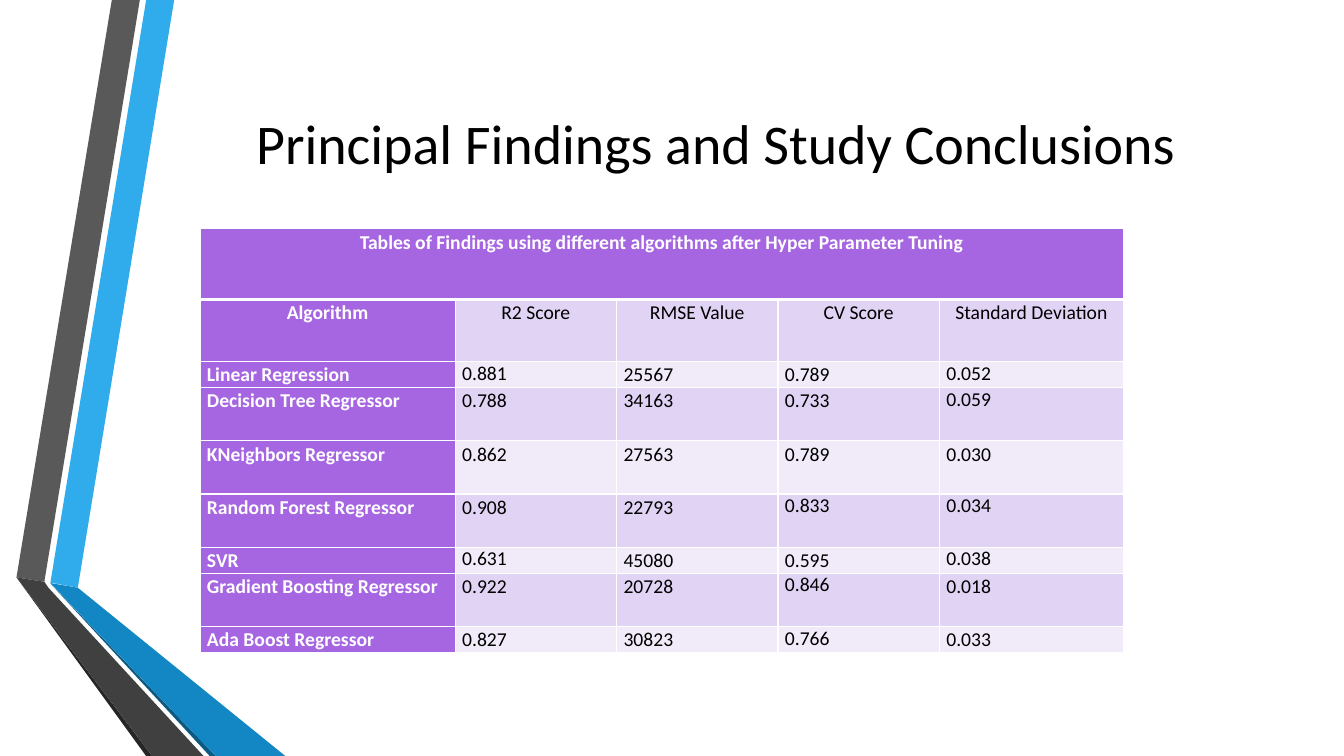
from dataclasses import dataclass

from lxml.etree import SubElement
from pptx import Presentation
from pptx.dml.color import RGBColor
from pptx.enum.text import MSO_ANCHOR, PP_ALIGN
from pptx.oxml.ns import qn
from pptx.util import Pt

FONT = "Calibri"
BLACK = RGBColor(0x00, 0x00, 0x00)
WHITE = RGBColor(0xFF, 0xFF, 0xFF)
PURPLE = RGBColor(0xA6, 0x66, 0xE1)
LILAC = RGBColor(0xE1, 0xD3, 0xF4)
PALE_LILAC = RGBColor(0xF1, 0xEA, 0xF9)
SKY = RGBColor(0x30, 0xAC, 0xEC)
BLUE = RGBColor(0x12, 0x87, 0xC3)
NAVY = RGBColor(0x0C, 0x5A, 0x82)
GREY = RGBColor(0x59, 0x59, 0x59)
CHARCOAL = RGBColor(0x40, 0x40, 0x40)
NEAR_BLACK = RGBColor(0x26, 0x26, 0x26)

TABLE_LEFT, TABLE_TOP = 142.8, 163.4
COLUMN_WIDTHS = (182.3, 115.3, 115.3, 115.3, 131.6)
CAPTION_HEIGHT, HEADER_HEIGHT, TALL, SHORT = 50.5, 44.3, 38, 18.7
CAPTION = "Tables of Findings using different algorithms after Hyper Parameter Tuning"
HEADERS = ("Algorithm", "R2 Score", "RMSE Value", "CV Score", "Standard Deviation")


@dataclass(frozen=True)
class Band:
    color: RGBColor
    points: tuple[tuple[float, float], ...]


@dataclass(frozen=True)
class Finding:
    values: tuple[str, ...]
    height: float
    single_spaced: tuple[int, ...] = ()


BANDS = (
    Band(SKY, ((36, 416.2), (55.6, 419.8), (124.4, 0), (104.4, 0))),
    Band(GREY, ((99.9, 0), (79.9, 0), (11.8, 412.4), (31.7, 415.6))),
    Band(NEAR_BLACK, ((11.8, 412.4), (104.4, 540), (108.7, 540))),
    Band(NAVY, ((36, 416.8), (149.8, 540), (154.1, 540))),
    Band(BLUE, ((36, 416.5), (154.1, 540), (203.8, 540), (55.6, 419.8))),
    Band(CHARCOAL, ((145.4, 540), (34.6, 419.8), (31.7, 415.6), (11.8, 412.4), (108.7, 540))),
)

FINDINGS = (
    Finding(("Linear Regression", "0.881", "25567", "0.789", "0.052"), SHORT, (1, 4)),
    Finding(("Decision Tree Regressor", "0.788", "34163", "0.733", "0.059"), TALL, (4,)),
    Finding(("KNeighbors Regressor", "0.862", "27563", "0.789", "0.030"), TALL),
    Finding(("Random Forest Regressor", "0.908", "22793", "0.833", "0.034"), TALL, (3, 4)),
    Finding(("SVR", "0.631", "45080", "0.595", "0.038"), SHORT, (1, 4)),
    Finding(("Gradient Boosting Regressor", "0.922", "20728", "0.846", "0.018"), TALL, (3,)),
    Finding(("Ada Boost Regressor", "0.827", "30823", "0.766", "0.033"), SHORT, (3,)),
)


def write_text(text_frame, text: str, *, size: float = 14, color: RGBColor = BLACK,
               bold: bool = False, align: PP_ALIGN = PP_ALIGN.LEFT,
               line_spacing: float = 1.07) -> None:
    paragraph = text_frame.paragraphs[0]
    paragraph.alignment = align
    paragraph.line_spacing = line_spacing
    run = paragraph.add_run()
    run.text = text
    run.font.name = FONT
    run.font.size = Pt(size)
    run.font.bold = bold
    run.font.color.rgb = color


def draw_band(slide, band: Band) -> None:
    corners = [(Pt(x), Pt(y)) for x, y in band.points]
    builder = slide.shapes.build_freeform(*corners[0])
    builder.add_line_segments(corners[1:], close=True)
    shape = builder.convert_to_shape()
    shape.shadow.inherit = False
    shape.fill.solid()
    shape.fill.fore_color.rgb = band.color
    shape.line.fill.background()


def add_borders(cell, bottom: float, top: float) -> None:
    properties = cell._tc.get_or_add_tcPr()
    widths = {"a:lnL": 1, "a:lnR": 1, "a:lnT": top, "a:lnB": bottom}
    for position, (tag, width) in enumerate(widths.items()):
        line = SubElement(properties, qn(tag), w=str(Pt(width)))
        fill = SubElement(line, qn("a:solidFill"))
        SubElement(fill, qn("a:srgbClr"), val=str(WHITE))
        properties.insert(position, line)


def format_cell(cell, fill: RGBColor, *, bottom: float = 1, top: float = 1) -> None:
    cell.margin_left = cell.margin_right = Pt(5)
    cell.margin_top = cell.margin_bottom = 0
    cell.vertical_anchor = MSO_ANCHOR.TOP
    cell.fill.solid()
    cell.fill.fore_color.rgb = fill
    add_borders(cell, bottom, top)


def draw_table(slide) -> None:
    heights = (CAPTION_HEIGHT, HEADER_HEIGHT, *(finding.height for finding in FINDINGS))
    table = slide.shapes.add_table(
        len(heights), len(COLUMN_WIDTHS), Pt(TABLE_LEFT), Pt(TABLE_TOP),
        Pt(sum(COLUMN_WIDTHS)), Pt(sum(heights))).table
    table.horz_banding = False
    table.first_row = False
    for column, width in zip(table.columns, COLUMN_WIDTHS):
        column.width = Pt(width)
    for row, height in zip(table.rows, heights):
        row.height = Pt(height)

    caption = table.cell(0, 0)
    caption.merge(table.cell(0, len(COLUMN_WIDTHS) - 1))
    for cell in table.rows[0].cells:
        format_cell(cell, PURPLE, bottom=3)
    write_text(caption.text_frame, CAPTION, color=WHITE, bold=True, align=PP_ALIGN.CENTER)

    body = (Finding(HEADERS, HEADER_HEIGHT), *FINDINGS)
    for row_index, finding in enumerate(body, start=1):
        is_header = row_index == 1
        stripe = LILAC if row_index % 2 else PALE_LILAC
        for column_index, text in enumerate(finding.values):
            is_name = column_index == 0
            cell = table.cell(row_index, column_index)
            format_cell(cell, PURPLE if is_name else stripe, top=3 if is_header else 1)
            write_text(
                cell.text_frame, text,
                color=WHITE if is_name else BLACK, bold=is_name,
                align=PP_ALIGN.CENTER if is_header else PP_ALIGN.LEFT,
                line_spacing=1.0 if column_index in finding.single_spaced else 1.07)


def draw_title(slide) -> None:
    title = slide.shapes.title
    title.left, title.top = Pt(116.6), Pt(54)
    title.width, title.height = Pt(789.1), Pt(94.3)
    title.text_frame.vertical_anchor = MSO_ANCHOR.MIDDLE
    write_text(title.text_frame, "Principal Findings and Study Conclusions",
               size=40, align=PP_ALIGN.CENTER, line_spacing=1.0)


def main() -> None:
    presentation = Presentation()
    presentation.slide_width, presentation.slide_height = Pt(960), Pt(540)
    slide = presentation.slides.add_slide(presentation.slide_layouts[5])
    for band in BANDS:
        draw_band(slide, band)
    draw_title(slide)
    draw_table(slide)
    presentation.save("out.pptx")


if __name__ == "__main__":
    main()
